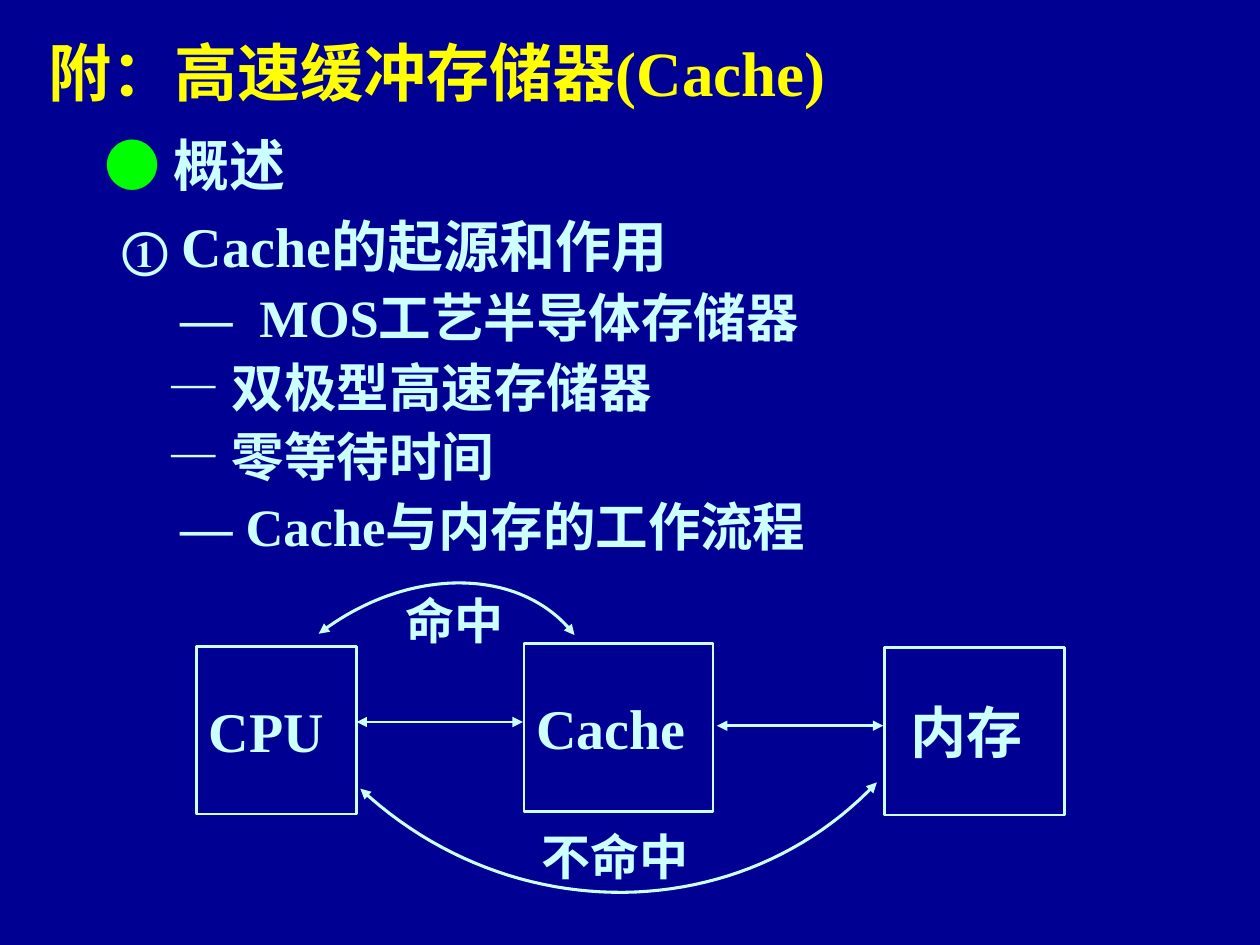
from pptx import Presentation
from pptx.dml.color import RGBColor
from pptx.enum.shapes import MSO_CONNECTOR, MSO_SHAPE
from pptx.enum.text import MSO_ANCHOR, PP_ALIGN
from pptx.oxml.ns import qn
from pptx.util import Inches, Pt
from lxml.etree import SubElement

PALE, YELLOW, GREEN, NAVY = "CCFFFF", "FFFF00", "00FF00", "000092"
SERIF = "Times New Roman"
U = Inches(0.1)  # grid unit: the slide is 100 columns by 75 rows


def add_run(p, text, size, color=PALE, font=SERIF):
    r = p.add_run()
    r.text = text
    for name, value in dict(name=font, size=Pt(size), bold=True).items():
        setattr(r.font, name, value)
    r.font.color.rgb = RGBColor.from_string(color)


def style_line(s, width, arrows=True):
    s.line.color.rgb = RGBColor.from_string(PALE)
    s.line.width = Pt(width)
    if arrows:
        ln = s.line._get_or_add_ln()
        for end in ("a:headEnd", "a:tailEnd"):
            SubElement(ln, qn(end), type="triangle")
    if s._element.spPr.find(qn("a:effectLst")) is None:
        SubElement(s._element.spPr, qn("a:effectLst"))


prs = Presentation()
prs.slide_width, prs.slide_height = 100 * U, 75 * U
slide = prs.slides.add_slide(prs.slide_layouts[6])
slide.background.fill.solid()
slide.background.fill.fore_color.rgb = RGBColor.from_string(NAVY)

# Outline: space before, left margin and first-line indent in columns, runs
outline = [
    (0, 0, 0, [("附：高速缓冲存储器(Cache)", 36, YELLOW)]),
    (12, 4.4, 0, [("● ", 32, GREEN, "Arial"), ("概述", 32)]),
    (8, 5.8, 0, [("①", 28), (" Cache的起源和作用", 32)]),
    (3.7, 16.7, -6.3, [("—\tMOS工艺半导体存储器", 30)]),
    (3.7, 9.4, 0, [("— 双极型高速存储器", 30)]),
    (3.7, 9.4, 0, [("— 零等待时间", 30)]),
    (3.7, 10.4, 0, [("— Cache与内存的工作流程", 30)]),
]
tf = slide.shapes.add_textbox(2.9 * U, 2.2 * U, 94.5 * U, 42.6 * U).text_frame
tf.word_wrap = True
for i, (before, margin, indent, runs) in enumerate(outline):
    p = tf.add_paragraph() if i else tf.paragraphs[0]
    p.alignment = PP_ALIGN.JUSTIFY
    p.space_before = Pt(before)
    p._p.get_or_add_pPr().set("marL", str(int(margin * U)))
    p._p.get_or_add_pPr().set("indent", str(int(indent * U)))
    for run in runs:
        add_run(p, *run)

# Boxes: label, left, top, width, left inset
for label, left, top, width, inset in [("CPU", 15.6, 51.3, 12.7, 1),
                                       ("Cache", 41.6, 51.1, 15, 1),
                                       ("内存", 70.2, 51.4, 14.3, 2.1)]:
    s = slide.shapes.add_shape(MSO_SHAPE.RECTANGLE, int(left * U), int(top * U),
                               int(width * U), int(13.3 * U))
    s.shadow.inherit = False
    s.fill.background()
    style_line(s, 1.5, arrows=False)
    tf = s.text_frame
    tf.vertical_anchor = MSO_ANCHOR.MIDDLE
    tf.margin_left = int(inset * U)
    tf.paragraphs[0].alignment = PP_ALIGN.LEFT
    add_run(tf.paragraphs[0], label, 32)

# Straight arrows between neighbouring boxes
for x1, x2, y in [(28.3, 41.5, 57.3), (56.9, 70.1, 57.6)]:
    s = slide.shapes.add_connector(MSO_CONNECTOR.STRAIGHT, int(x1 * U), int(y * U),
                                   int(x2 * U), int(y * U))
    style_line(s, 1.5)

# Curved arrows: cubic curves drawn through evenly spaced steps
STEPS = 48
for curve in [[(45.6, 50.4), (41.4, 44.9), (32.3, 44.9), (25.3, 50.3)],
              [(28.6, 62.6), (40.6, 73.8), (58.9, 73.5), (69.6, 62.1)]]:
    points = []
    for t in (i / STEPS for i in range(STEPS + 1)):
        weights = ((1 - t) ** 3, 3 * t * (1 - t) ** 2, 3 * t * t * (1 - t), t ** 3)
        points.append([sum(w * c for w, c in zip(weights, axis)) * U
                       for axis in zip(*curve)])
    builder = slide.shapes.build_freeform(*points[0])
    builder.add_line_segments(points[1:], close=False)
    s = builder.convert_to_shape()
    s.shadow.inherit = False
    s.fill.background()
    style_line(s, 1.75)

# Curve labels
for label, left, top, width in [("命中", 31.2, 46.4, 11.6),
                                ("不命中", 42, 65.1, 17.1)]:
    tf = slide.shapes.add_textbox(int(left * U), int(top * U),
                                  int(width * U), int(5.7 * U)).text_frame
    tf.word_wrap = True
    add_run(tf.paragraphs[0], label, 28)

prs.save("out.pptx")
